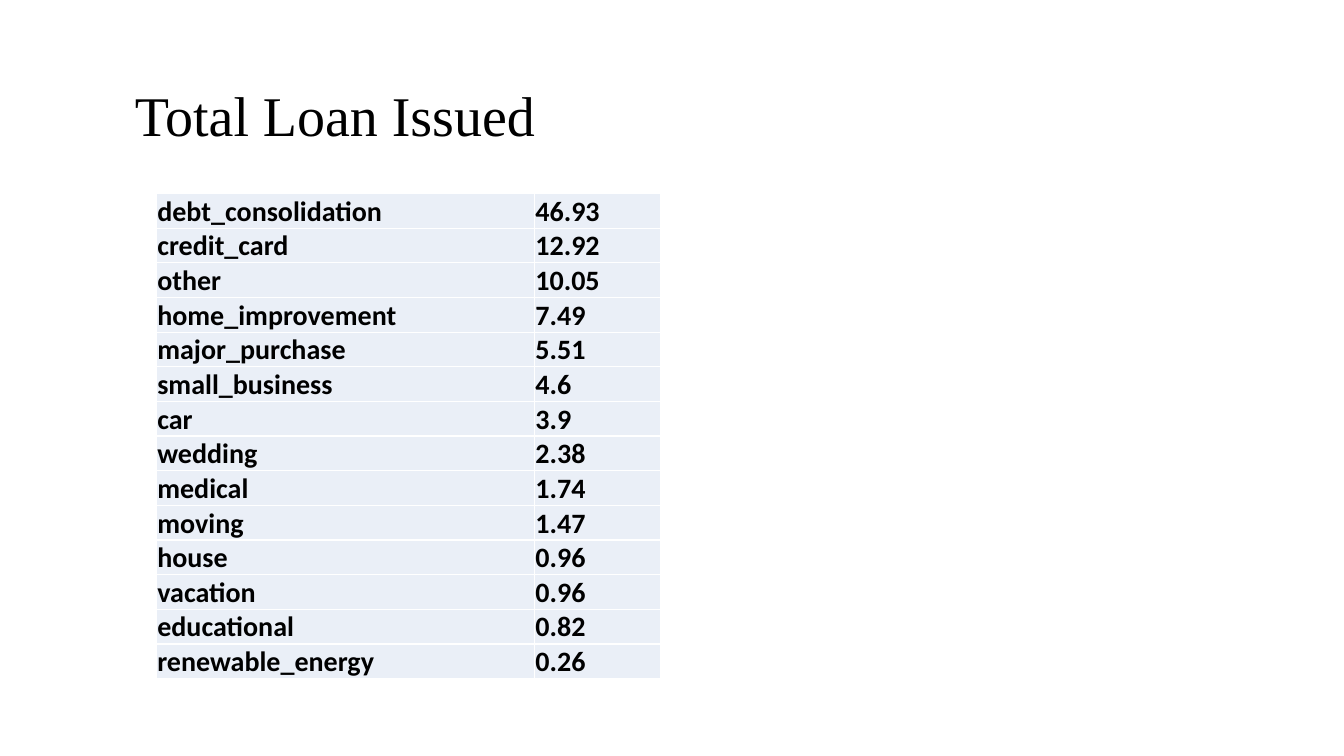
from dataclasses import dataclass
from typing import Any

from lxml.etree import SubElement as Sub
from pptx import Presentation
from pptx.dml.color import RGBColor
from pptx.enum.text import MSO_ANCHOR as Anchor
from pptx.oxml.ns import qn
from pptx.util import Inches, Pt

BLACK = RGBColor(0x00, 0x00, 0x00)
WHITE = RGBColor(0xFF, 0xFF, 0xFF)
PALE_BLUE = RGBColor(0xEA, 0xEF, 0xF7)

SLIDE_W, SLIDE_H = Inches(13.33), Inches(7.5)
GRID_COLS = 4
PURPOSE_SPAN, SHARE_SPAN = 3, 1
ROW_H = Inches(0.31)

TITLE_FONT = {"name": "Times New Roman", "size": Pt(40)}
CELL_FONT = {"name": "Calibri", "size": Pt(20), "bold": True}
CELL_MARGINS = {
    "margin_left": Inches(0.01),
    "margin_right": Inches(0.01),
    "margin_top": Inches(0.01),
    "margin_bottom": 0,
}


@dataclass(frozen=True)
class Box:
    left: float
    top: float
    width: float
    height: float

    def emu(self) -> tuple[int, ...]:
        shares = (self.left, self.top, self.width, self.height)
        sides = (SLIDE_W, SLIDE_H, SLIDE_W, SLIDE_H)
        return tuple(round(s * side / 100) for s, side in zip(shares, sides))


@dataclass(frozen=True)
class Loan:
    purpose: str
    share: str


TITLE_BOX = Box(9.3, 9.33, 76.44, 12.53)
TABLE_BOX = Box(11.63, 25.6, 37.51, 64.13)

LOANS = [
    Loan("debt_consolidation", "46.93"),
    Loan("credit_card", "12.92"),
    Loan("other", "10.05"),
    Loan("home_improvement", "7.49"),
    Loan("major_purchase", "5.51"),
    Loan("small_business", "4.6"),
    Loan("car", "3.9"),
    Loan("wedding", "2.38"),
    Loan("medical", "1.74"),
    Loan("moving", "1.47"),
    Loan("house", "0.96"),
    Loan("vacation", "0.96"),
    Loan("educational", "0.82"),
    Loan("renewable_energy", "0.26"),
]


def apply(obj: Any, values: dict[str, Any]) -> None:
    for name, value in values.items():
        setattr(obj, name, value)


def write(p: Any, text: str, font: dict[str, Any]) -> None:
    r = p.add_run()
    r.text = text
    apply(r.font, font)
    r.font.color.rgb = BLACK


def add_borders(cell: Any) -> None:
    tc_pr = cell._tc.get_or_add_tcPr()
    for i, side in enumerate(("lnL", "lnR", "lnT", "lnB")):
        ln = tc_pr.makeelement(qn(f"a:{side}"), {"w": str(Pt(1))})
        fill = Sub(ln, qn("a:solidFill"))
        Sub(fill, qn("a:srgbClr"), {"val": str(WHITE)})
        tc_pr.insert(i, ln)


def fill_cell(cell: Any, text: str, anchor: Anchor) -> None:
    apply(cell, {**CELL_MARGINS, "vertical_anchor": anchor})
    cell.fill.solid()
    cell.fill.fore_color.rgb = PALE_BLUE
    write(cell.text_frame.paragraphs[0], text, CELL_FONT)
    add_borders(cell)


def add_title(s: Any, text: str) -> None:
    tf = s.shapes.add_textbox(*TITLE_BOX.emu()).text_frame
    apply(tf, {"word_wrap": True, "vertical_anchor": Anchor.MIDDLE})
    p = tf.paragraphs[0]
    p.line_spacing = 0.9
    write(p, text, TITLE_FONT)


def add_loan_table(s: Any, loans: list[Loan]) -> None:
    left, top, width, height = TABLE_BOX.emu()
    sp = s.shapes.add_table(len(loans), 2, left, top, width, height)
    table = sp.table
    apply(table, {"first_row": False, "horz_banding": False})
    for col, span in zip(table.columns, (PURPOSE_SPAN, SHARE_SPAN)):
        col.width = width * span // GRID_COLS
    for row, loan in zip(table.rows, loans):
        row.height = ROW_H
        fill_cell(row.cells[0], loan.purpose, Anchor.MIDDLE)
        fill_cell(row.cells[1], loan.share, Anchor.BOTTOM)
    sp.height = height


def main() -> None:
    prs = Presentation()
    apply(prs, {"slide_width": SLIDE_W, "slide_height": SLIDE_H})
    s = prs.slides.add_slide(prs.slide_layouts[6])
    add_title(s, "Total Loan Issued")
    add_loan_table(s, LOANS)
    prs.save("out.pptx")


if __name__ == "__main__":
    main()
